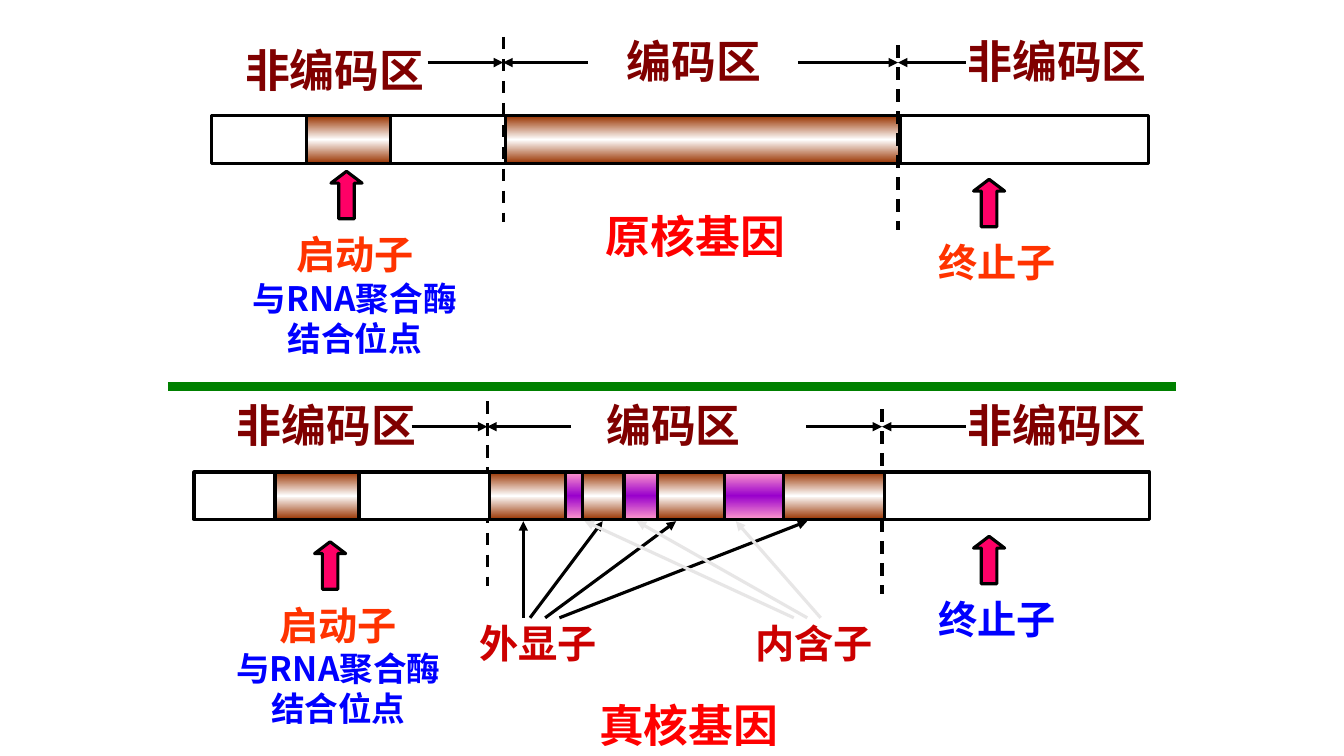
"""Draw the structure of a prokaryotic gene above that of a eukaryotic gene."""
from dataclasses import dataclass
from itertools import accumulate

from lxml import etree
from copy import deepcopy
from pptx import Presentation
from pptx import util as u
from pptx.dml.color import RGBColor
from pptx.enum import dml, shapes, text
from pptx.oxml import ns

SLIDE_WIDTH, SLIDE_HEIGHT = u.Inches(13.33), u.Inches(7.5)
COLUMNS, ROWS = 160, 90
BAR_HEIGHT = 5.65
COLORS = {
    "black": "000000", "white": "FFFFFF", "brown": "993300", "pink": "FF99CC",
    "purple": "9900CC", "arrow": "FF0066", "maroon": "800000", "orange": "FF3300",
    "blue": "0000FF", "red": "FF0000", "crimson": "CC0000", "gray": "E7E6E6",
    "green": "008000",
}
EXON = ("brown", "white", "brown")
INTRON = ("pink", "purple", "pink")
SERIF, SANS, CJK = "Times New Roman", "Arial", "Noto Sans CJK SC"
CENTER, LEFT = text.PP_ALIGN.CENTER, text.PP_ALIGN.LEFT


@dataclass(frozen=True)
class Line:
    words: str
    size: int
    color: str
    font: str = SERIF


@dataclass(frozen=True)
class Label:
    left: float
    top: float
    width: float
    height: float
    lines: tuple[Line, ...]
    align: text.PP_ALIGN = CENTER


@dataclass(frozen=True)
class Stroke:
    x1: float
    y1: float
    x2: float
    y2: float
    color: str = "black"
    width: float = 2.25
    arrow: bool = True
    dashed: bool = False


@dataclass(frozen=True)
class Block:
    left: float
    width: float
    colors: tuple[str, ...]


@dataclass(frozen=True)
class Marker:
    left: float
    top: float
    lines: tuple[Line, ...]


@dataclass(frozen=True)
class Gene:
    measure_row: float
    bar_row: float
    blocks: tuple[Block, ...]
    boundaries: tuple[float, float]
    arrow_starts: tuple[float, float, float, float]
    labels: tuple[Label, ...]
    markers: tuple[Marker, ...]
    bar_in_front: bool


def region(words: str, left: float, top: float, width: float, align=LEFT) -> Label:
    return Label(left, top, width, 7.5, (Line(words, 32, "maroon"),), align)


def gene_name(words: str, left: float, top: float) -> Label:
    return Label(left, top, 32.2, 7.5, (Line(words, 32, "red", SANS),))


PROMOTER = (Line("启动子", 28, "orange"), Line("与RNA聚合酶", 24, "blue", CJK),
            Line("结合位点", 24, "blue", CJK))
SEGMENT_WIDTHS = (9, 2, 5, 4, 8, 7, 12)
SEGMENT_LEFTS = accumulate(SEGMENT_WIDTHS, initial=58.3)
SEGMENTS = tuple(Block(left, width, INTRON if index % 2 else EXON)
                 for index, (left, width) in enumerate(zip(SEGMENT_LEFTS, SEGMENT_WIDTHS)))

GENES = (
    Gene(7.45, 13.8,
         (Block(25.2, 111.5, ("white",)), Block(36.5, 10, EXON), Block(60.15, 47, EXON)),
         (59.9, 106.9), (50.9, 70, 95, 115),
         (region("非编码区", 28, 4.45, 26), region("编码区", 70.6, 3.4, 24, CENTER),
          region("非编码区", 114, 3.4, 26), gene_name("原核基因", 66.7, 24.25)),
         (Marker(39.4, 20.4, PROMOTER),
          Marker(115.9, 21.35, (Line("终止子", 28, "orange"),))), False),
    Gene(50.8, 56.2,
         (Block(23.1, 113.75, ("white",)), Block(32.75, 10, EXON)) + SEGMENTS,
         (58, 105), (49, 68, 96, 115),
         (region("非编码区", 27, 46.7, 25), region("编码区", 71, 46.7, 24),
          region("非编码区", 114, 46.7, 26), gene_name("真核基因", 65.9, 82.45),
          Label(54.5, 73.1, 19.1, 6.8, (Line("外显子", 28, "crimson", SANS),)),
          Label(88.3, 73.1, 17.2, 6.8, (Line("内含子", 28, "crimson", "Calibri"),))),
         (Marker(37.45, 64.5, PROMOTER),
          Marker(115.9, 63.85, (Line("终止子", 28, "blue"),))), True),
)
POINTERS = (
    ("black", ((62.3, 62.3), (63.1, 71.75), (64.9, 80.5), (66.6, 96.1))),
    ("gray", ((94.5, 69.6), (96.1, 75.8), (97.7, 87.6))),
)


def x(columns: float) -> int:
    return round(SLIDE_WIDTH * columns / COLUMNS)


def y(rows: float) -> int:
    return round(SLIDE_HEIGHT * rows / ROWS)


def rgb(name: str) -> RGBColor:
    return RGBColor.from_string(COLORS[name])


def draw_stroke(slide, stroke: Stroke) -> None:
    connector = slide.shapes.add_connector(
        shapes.MSO_CONNECTOR.STRAIGHT, x(stroke.x1), y(stroke.y1), x(stroke.x2), y(stroke.y2))
    connector.line.color.rgb = rgb(stroke.color)
    connector.line.width = u.Pt(stroke.width)
    if stroke.dashed:
        connector.line.dash_style = dml.MSO_LINE.DASH
    if stroke.arrow:
        etree.SubElement(connector.line._get_or_add_ln(), ns.qn("a:tailEnd"), type="triangle")
    etree.SubElement(connector._element.spPr, ns.qn("a:effectLst"))


def draw_label(slide, label: Label) -> None:
    box = slide.shapes.add_textbox(x(label.left), y(label.top), x(label.width), y(label.height))
    frame = box.text_frame
    frame.word_wrap = True
    frame.auto_size = text.MSO_AUTO_SIZE.SHAPE_TO_FIT_TEXT
    for index, line in enumerate(label.lines):
        paragraph = frame.add_paragraph() if index else frame.paragraphs[0]
        paragraph.alignment = label.align
        run = paragraph.add_run()
        run.text = line.words
        for key, value in {"size": u.Pt(line.size), "bold": True, "name": line.font}.items():
            setattr(run.font, key, value)
        run.font.color.rgb = rgb(line.color)
        etree.SubElement(run._r.get_or_add_rPr(), ns.qn("a:ea"), typeface=CJK)


def draw_shape(slide, kind, left: float, top: float, width: float, colors: tuple[str, ...]):
    shape = slide.shapes.add_shape(kind, x(left), y(top), x(width), y(BAR_HEIGHT))
    shape.shadow.inherit = False
    shape.line.color.rgb = rgb("black")
    shape.line.width = u.Pt(2.25)
    if len(colors) == 1:
        shape.fill.solid()
        shape.fill.fore_color.rgb = rgb(colors[0])
        return shape
    shape.fill.gradient()
    shape.fill.gradient_angle = 90
    stop_list = shape._element.spPr.find(".//" + ns.qn("a:gsLst"))
    stop_list.append(deepcopy(stop_list[0]))
    for index, (stop, color) in enumerate(zip(shape.fill.gradient_stops, colors)):
        stop.position = index / (len(colors) - 1)
        stop.color.rgb = rgb(color)
    return shape


def draw_bar(slide, gene: Gene) -> None:
    for block in gene.blocks:
        draw_shape(slide, shapes.MSO_SHAPE.RECTANGLE, block.left, gene.bar_row,
                   block.width, block.colors)


def draw_boundaries(slide, gene: Gene) -> None:
    for index, column in enumerate(gene.boundaries):
        top = gene.measure_row - 3.05 + index
        draw_stroke(slide, Stroke(column, top, column, top + 22, arrow=False, dashed=True))
    for index, start in enumerate(gene.arrow_starts):
        draw_stroke(slide, Stroke(start, gene.measure_row,
                                  gene.boundaries[index // 2], gene.measure_row))


def draw_gene(slide, gene: Gene) -> None:
    steps = (draw_boundaries, draw_bar) if gene.bar_in_front else (draw_bar, draw_boundaries)
    for step in steps:
        step(slide, gene)
    for marker in gene.markers:
        arrow = draw_shape(slide, shapes.MSO_SHAPE.UP_ARROW, marker.left, marker.top, 3.7, ("arrow",))
        arrow.adjustments[0], arrow.adjustments[1] = 0.5, 0.38
        height = 6.8 if len(marker.lines) == 1 else 16.55
        draw_label(slide, Label(marker.left - 15.12, marker.top + 6.45, 35.9, height, marker.lines))
    for label in gene.labels:
        draw_label(slide, label)


def main() -> None:
    presentation = Presentation()
    presentation.slide_width, presentation.slide_height = SLIDE_WIDTH, SLIDE_HEIGHT
    slide = presentation.slides.add_slide(presentation.slide_layouts[6])
    for gene in GENES:
        draw_gene(slide, gene)
    for color, pairs in POINTERS:
        for start, end in pairs:
            draw_stroke(slide, Stroke(start, 73.55, end, 62.05, color))
    draw_stroke(slide, Stroke(20, 46, 140, 46, "green", 6, arrow=False))
    presentation.save("out.pptx")


if __name__ == "__main__":
    main()
